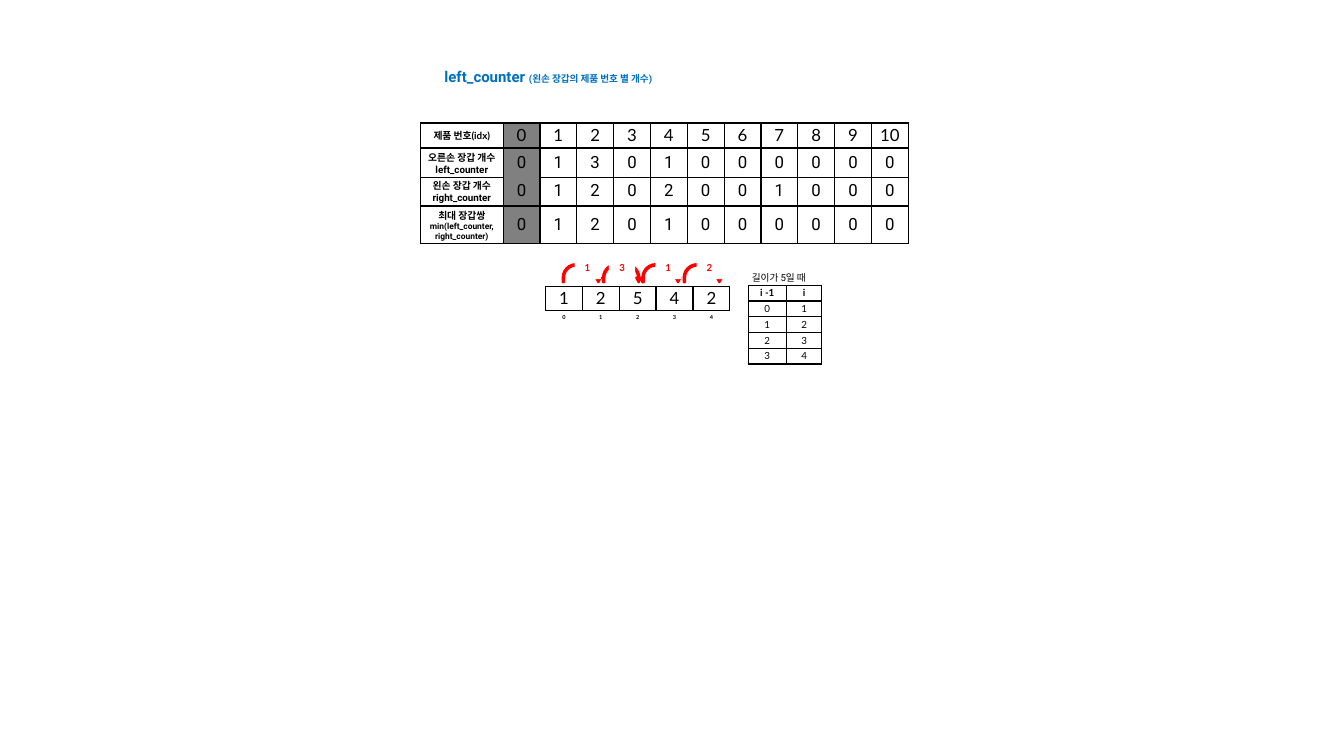
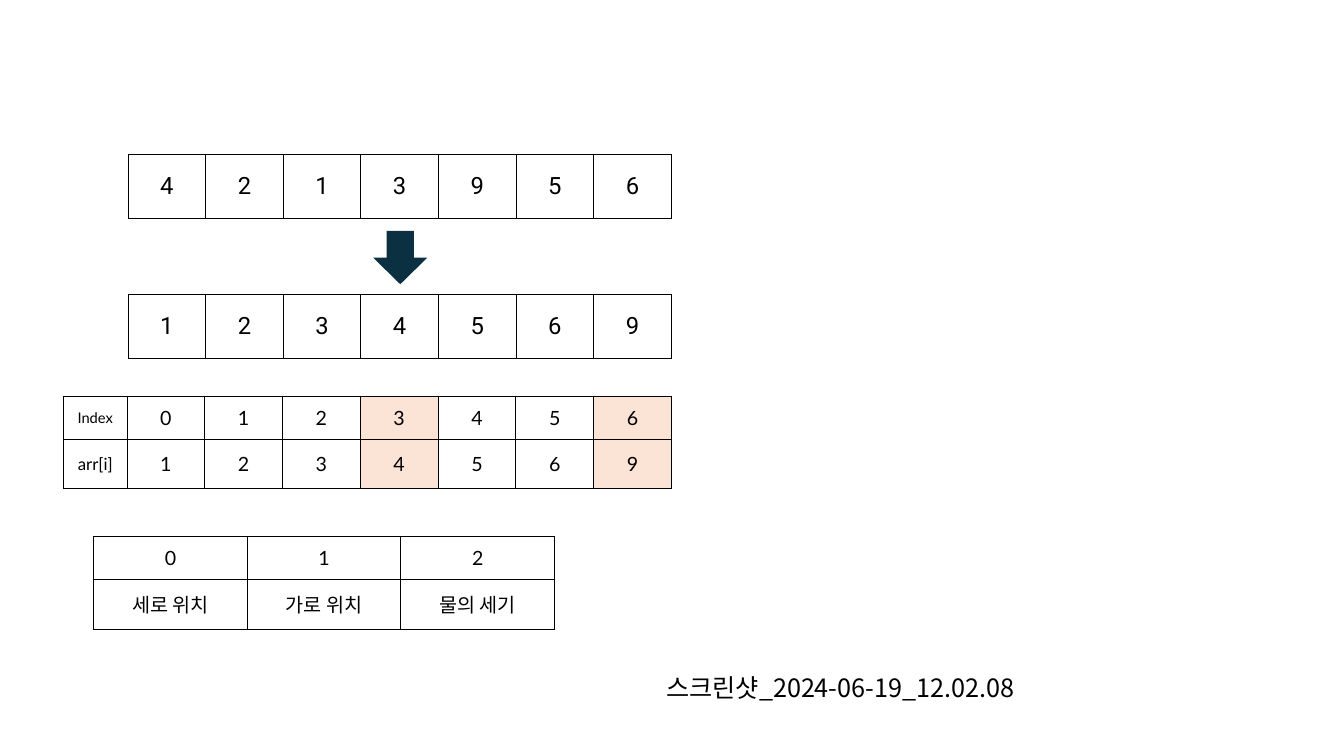
from dataclasses import dataclass

from lxml import etree
from pptx import Presentation
from pptx import util as u
from pptx.dml.color import RGBColor
from pptx.enum import shapes, text
from pptx.oxml.ns import qn


@dataclass(frozen=True)
class Theme:
    black: str = "000000"
    white: str = "FFFFFF"
    grey: str = "808080"
    blue: str = "0070C0"
    red: str = "FF0000"
    navy: str = "0B3041"
    peach: str = "FBE3D6"
    sans: str = "Roboto"
    digits: str = "Lato"
    korean: str = "Noto Sans CJK KR"
    tiny: float = 4
    small: float = 6
    note: float = 6.9
    label: float = 7
    title: float = 10.7
    value: float = 12
    cell: float = 14
    number: float = 17
    caption: float = 18


THEME = Theme()
SLIDE_SIZE = (13.33, 7.5)

# A label cell is a list of (text, size, bold) lines; other cells are strings.
# "at" is left, top, width; the columns after the label column share the rest.
COUNTER = dict(label=0.82, size=THEME.value, fills={1: THEME.grey})
COUNTER_TABLES = [
    dict(COUNTER, at=(4.17, 1.47, 4.84), heights=[0.28], rows=[
        [[("오른손 장갑 개수", THEME.label, True), ("left_counter", THEME.label, True)],
         *"01301000000"]]),
    dict(COUNTER, at=(4.17, 1.22, 4.84), heights=[0.24], font=THEME.digits, rows=[
        [[("제품 번호(idx)", THEME.label, True)], *map(str, range(11))]]),
    dict(COUNTER, at=(4.17, 1.75, 4.84), heights=[0.28, 0.36], open_top=True, rows=[
        [[("왼손 장갑 개수", THEME.label, True), ("right_counter", THEME.label, True)],
         *"01202001000"],
        [[("최대 장갑쌍", THEME.label, True),
          ("min(left_counter, right_counter)", THEME.small, True)],
         *"01201000000"]]),
]
ARRAY_TABLES = [
    dict(at=(5.41, 2.84, 1.83), heights=[0.24], font=THEME.digits,
         size=THEME.value, rows=["12542"]),
    dict(at=(4.59, 3.09, 2.65), label=0.82, heights=[0.11], font=THEME.digits,
         size=THEME.tiny, bold_rows=1, line=0, rows=[["", *"01234"]]),
]
PAIR_TABLE = dict(at=(7.42, 2.83, 0.73), label=0.38, heights=[0.15] * 5,
                  font=THEME.digits, size=THEME.label, bold_rows=1, anchor="TOP",
                  fills={0: THEME.white, 1: THEME.white},
                  rows=[["i -1", "i"], "01", "12", "23", "34"])
# Each jump: arrow left, badge left, difference, alignment
JUMPS = [(5.58, 5.70, "1", "LEFT"), (5.98, 6.04, "3", "CENTER"),
         (6.37, 6.50, "1", "LEFT"), (6.78, 6.91, "2", "LEFT")]
JUMP_BENDS = (0.083, 0.14, 0.25, 0.75, 1)

SORT = dict(heights=[0.64], size=THEME.number, line=0.75)
INDEXED = dict(heights=[0.43, 0.49], size=THEME.cell, line=0.75, font=THEME.digits)
BEFORE = dict(SORT, at=(1.27, 1.53, 5.39), rows=["4213956"])
AFTER = dict(SORT, at=(1.27, 2.92, 5.39), rows=["1234569"])
INDEX_TABLE = dict(INDEXED, at=(0.63, 3.93, 6.03), label=0.63,
                   fills={4: THEME.peach, 7: THEME.peach},
                   rows=[[[("Index", 10.5, False)], *"0123456"],
                         [[("arr[i]", THEME.value, False)], *"1234569"]])
FIELD_TABLE = dict(INDEXED, at=(0.93, 5.32, 4.57),
                   rows=["012", ["세로 위치", "가로 위치", "물의 세기"]])


def inches(*lengths):
    return [u.Inches(length) for length in lengths]


def add_run(paragraph, words, size, font, color=THEME.black, bold=False):
    run = paragraph.add_run()
    run.text = words
    run.font.size = u.Pt(size)
    run.font.name = font
    run.font.bold = bold
    run.font.color.rgb = RGBColor.from_string(color)


def paint(fill, color):
    if color:
        fill.solid()
        fill.fore_color.rgb = RGBColor.from_string(color)
    else:
        fill.background()


def set_borders(cell, width, open_top):
    properties = cell._tc.get_or_add_tcPr()
    for place, side in enumerate("LRTB"):
        border = etree.Element(qn(f"a:ln{side}"), w=str(u.Pt(width)))
        if width and not (side == "T" and open_top):
            fill = etree.SubElement(border, qn("a:solidFill"))
            etree.SubElement(fill, qn("a:srgbClr"), val=THEME.black)
        else:
            etree.SubElement(border, qn("a:noFill"))
        properties.insert(place, border)


def fill_cell(cell, content, size, font, bold, anchor):
    cell.margin_left = cell.margin_right = u.Inches(0.04)
    cell.margin_top = cell.margin_bottom = u.Inches(0.02)
    cell.vertical_anchor = getattr(text.MSO_ANCHOR, anchor)
    frame = cell.text_frame
    lines = [(content, size, bold)] if isinstance(content, str) else content
    for number, (words, line_size, line_bold) in enumerate(lines):
        paragraph = frame.add_paragraph() if number else frame.paragraphs[0]
        paragraph.alignment = text.PP_ALIGN.CENTER
        if words:
            add_run(paragraph, words, line_size, font, bold=line_bold)
        else:  # keeps an empty cell from stretching its row
            etree.SubElement(paragraph._p, qn("a:endParaRPr"), sz=str(int(size * 100)))


def add_grid(slide, at, heights, rows, size, label=0, font=THEME.sans, line=1,
             fills=None, bold_rows=0, open_top=False, anchor="MIDDLE"):
    left, top, width = at
    count = len(rows[0])
    frame = slide.shapes.add_table(len(rows), count,
                                   *inches(left, top, width, sum(heights)))
    table = frame.table
    table.first_row = table.horz_banding = False
    shared = (width - label) / (count - bool(label))
    for number, column in enumerate(table.columns):
        column.width = u.Inches(label if label and number == 0 else shared)
    for y, (height, row) in enumerate(zip(heights, rows)):
        table.rows[y].height = u.Inches(height)
        for x, content in enumerate(row):
            cell = table.cell(y, x)
            fill_cell(cell, content, size, font, y < bold_rows, anchor)
            paint(cell.fill, (fills or {}).get(x))
            set_borders(cell, line, open_top and y == 0)


def add_text(slide, at, runs, align="LEFT", fill=None):
    """Each run is (words, size, font, colour, bold)."""
    box = slide.shapes.add_textbox(*inches(*at))
    paint(box.fill, fill)
    frame = box.text_frame
    frame.word_wrap = False
    frame.auto_size = text.MSO_AUTO_SIZE.SHAPE_TO_FIT_TEXT
    paragraph = frame.paragraphs[0]
    paragraph.alignment = getattr(text.PP_ALIGN, align)
    for run in runs:
        add_run(paragraph, *run)


def add_arrow(slide, kind, at, color, line=0):
    shape = slide.shapes.add_shape(kind, *inches(*at))
    shape.shadow.inherit = False
    paint(shape.fill, color)
    if line:
        shape.line.color.rgb = RGBColor.from_string(color)
        shape.line.width = u.Pt(line)
    else:
        shape.line.fill.background()
    return shape


def build_counters(slide):
    for table in COUNTER_TABLES:
        add_grid(slide, **table)
    add_text(slide, (4.31, 0.62, 2.44, 0.28), [
        ("left_counter ", THEME.title, THEME.sans, THEME.blue, True),
        ("(왼손 장갑의 제품 번호 별 개수)", THEME.note, THEME.sans, THEME.blue, True)])
    for table in ARRAY_TABLES:
        add_grid(slide, **table)
    # Jumps between neighbours, each with its difference
    for arrow_left, badge_left, difference, align in JUMPS:
        arrow = add_arrow(slide, shapes.MSO_SHAPE.U_TURN_ARROW,
                          (arrow_left, 2.62, 0.38, 0.18), THEME.red, 1.5)
        for number, bend in enumerate(JUMP_BENDS):
            arrow.adjustments[number] = bend
        add_text(slide, (badge_left, 2.55, 0.26, 0.22),
                 [(difference, THEME.note, THEME.digits, THEME.red, True)],
                 align, THEME.white)
    # Index pairs
    add_text(slide, (7.36, 2.65, 0.81, 0.22),
             [("길이가 5일 때", THEME.note, THEME.sans)])
    add_grid(slide, **PAIR_TABLE)


def build_sorting(slide):
    add_grid(slide, **BEFORE)
    add_arrow(slide, shapes.MSO_SHAPE.DOWN_ARROW, (3.7, 2.29, 0.54, 0.53), THEME.navy)
    add_grid(slide, **AFTER)
    add_grid(slide, **INDEX_TABLE)
    add_text(slide, (6.51, 6.62, 5.2, 0.4),
             [("스크린샷_2024-06-19_12.02.08", THEME.caption, THEME.korean)])
    add_grid(slide, **FIELD_TABLE)


def main():
    presentation = Presentation()
    presentation.slide_width, presentation.slide_height = inches(*SLIDE_SIZE)
    for build in (build_counters, build_sorting):
        build(presentation.slides.add_slide(presentation.slide_layouts[6]))
    presentation.save("out.pptx")


if __name__ == "__main__":
    main()
